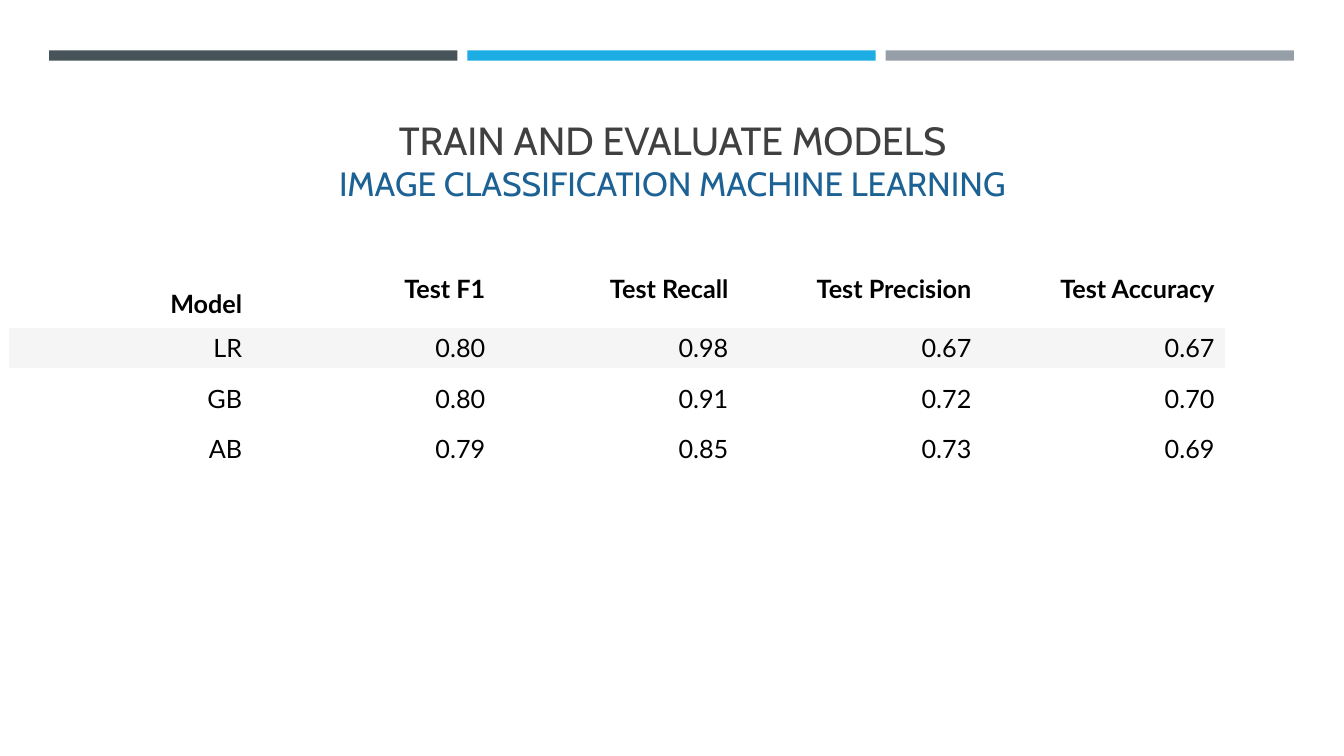
from copy import deepcopy

from pptx import Presentation
from pptx.dml.color import RGBColor
from pptx.enum.shapes import MSO_SHAPE as Shape
from pptx.enum.text import MSO_ANCHOR as Anchor, MSO_AUTO_SIZE as AutoSize, PP_ALIGN as Align
from pptx.util import Cm, Pt

SLATE = RGBColor(0x46, 0x53, 0x59)
SKY = RGBColor(0x1C, 0xAD, 0xE4)
STEEL = RGBColor(0x96, 0x9F, 0xA7)
CHARCOAL = RGBColor(0x40, 0x40, 0x40)
NAVY = RGBColor(0x1D, 0x62, 0x94)
BLACK = RGBColor(0, 0, 0)
WHITE = RGBColor(0xFF, 0xFF, 0xFF)
PALE = RGBColor(0xF5, 0xF5, 0xF5)

NO_STYLE_NO_GRID = "{2D5ABB26-0587-4C30-8999-92F81FD0307C}"
HEADINGS = ("Model", "Test F1", "Test Recall", "Test Precision", "Test Accuracy")
RESULTS = (
    (("LR", "0.80", "0.98", "0.67", "0.67"), PALE),
    (("GB", "0.80", "0.91", "0.72", "0.70"), WHITE),
    (("AB", "0.79", "0.85", "0.73", "0.69"), None),
)


def add_span(para, text, *, font, size, color, bold=False):
    span = para.add_run()
    span.text = text
    span.font.name = font
    span.font.size = Pt(size)
    span.font.color.rgb = color
    span.font.bold = bold
    return span


class SlideBuilder:
    title_font = "Cabin"
    table_font = "Lato"
    table_size = 18
    table_left = 0.23
    table_width = 30.63

    def __init__(self, deck):
        self.slide = deck.slides.add_slide(deck.slide_layouts[5])

    def bar(self, left, top, width, height, color):
        bar = self.slide.shapes.add_shape(
            Shape.RECTANGLE, Cm(left), Cm(top), Cm(width), Cm(height))
        bar.shadow.inherit = False
        bar.fill.solid()
        bar.fill.fore_color.rgb = color
        bar.line.fill.background()

    def title(self, heading, subheading):
        box = self.slide.shapes.title
        box.left, box.top, box.width, box.height = Cm(1.63), Cm(1.96), Cm(30.63), Cm(3.3)
        frame = box.text_frame
        frame.word_wrap = True
        frame.auto_size = AutoSize.NONE
        frame.vertical_anchor = Anchor.BOTTOM
        para = frame.paragraphs[0]
        para.alignment = Align.CENTER
        span = add_span(para, heading, font=self.title_font, size=28, color=CHARCOAL)
        # The break carries the heading's size, so the line keeps its height
        para._p.add_br().append(deepcopy(span._r.rPr))
        add_span(para, subheading, font=self.title_font, size=24, color=NAVY)

    def row_table(self, values, top, height, fill, bold=False):
        """Add a one-row table and return its cells."""
        table = self.slide.shapes.add_table(
            1, len(values), Cm(self.table_left), Cm(top),
            Cm(self.table_width), Cm(height)).table
        table.first_row = table.horz_banding = False
        table._tbl.tblPr[0].text = NO_STYLE_NO_GRID
        cells = list(table.rows[0].cells)
        for cell, value in zip(cells, values):
            cell.vertical_anchor = Anchor.MIDDLE
            if fill is None:
                cell.fill.background()
            else:
                cell.fill.solid()
                cell.fill.fore_color.rgb = fill
            para = cell.text_frame.paragraphs[0]
            para.alignment = Align.RIGHT
            add_span(para, value, font=self.table_font, size=self.table_size,
                     color=BLACK, bold=bold)
        return cells


def main():
    deck = Presentation()
    deck.slide_width, deck.slide_height = Cm(33.87), Cm(19.05)
    builder = SlideBuilder(deck)

    for index, color in enumerate((SLATE, SKY, STEEL)):
        builder.bar(1.24 + index * 10.54, 1.27, 10.29, 0.26, color)
    builder.title("TRAIN AND EVALUATE MODELS", "IMAGE CLASSIFICATION MACHINE LEARNING")

    header = builder.row_table(HEADINGS, 6.38, 1.78, WHITE, bold=True)
    header[0].margin_top = Cm(0.89)  # sets "Model" half a line lower
    for index, (values, fill) in enumerate(RESULTS):
        builder.row_table(values, 8.26 + index * 1.27, 1.02, fill)

    deck.save("out.pptx")


if __name__ == "__main__":
    main()
